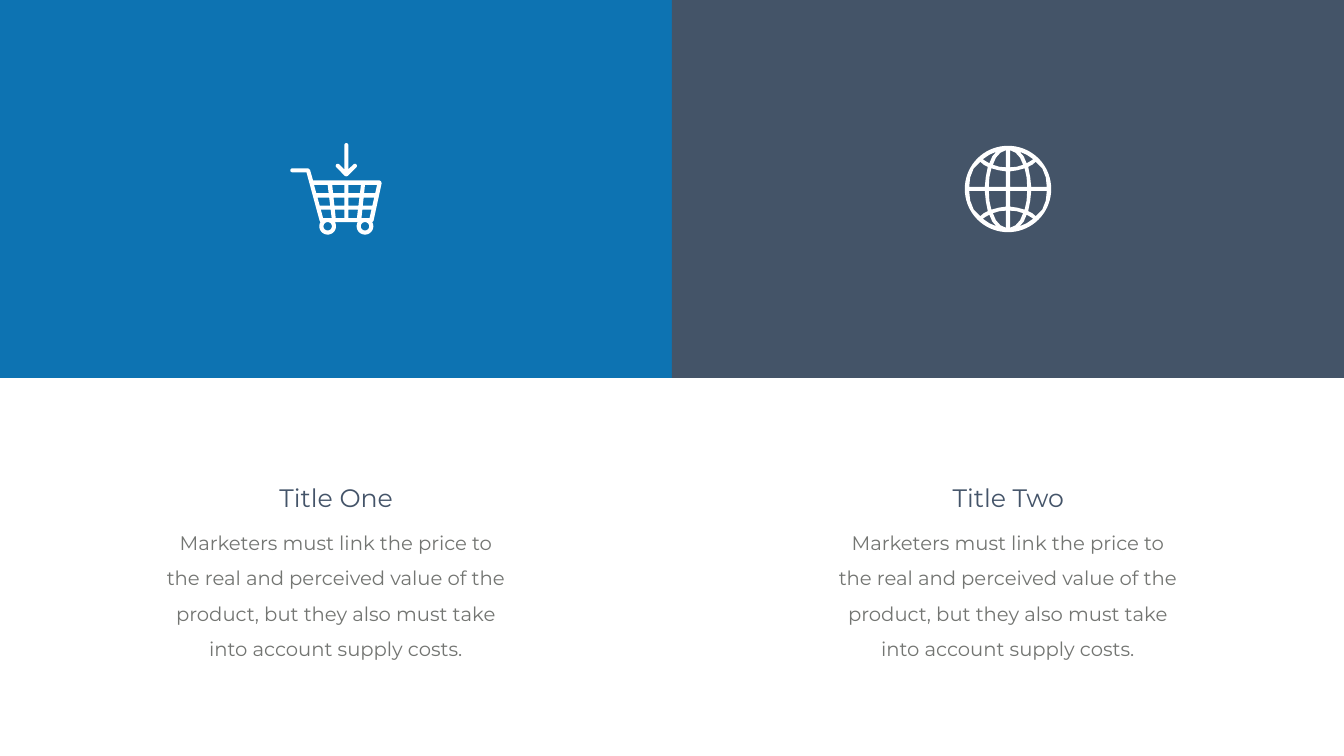
from dataclasses import dataclass
from itertools import product
from math import cos, radians, sin

from pptx import Presentation
from pptx.dml.color import RGBColor as Rgb
from pptx.enum.shapes import MSO_SHAPE as Kind
from pptx.enum.text import MSO_AUTO_SIZE as Fit, PP_ALIGN as Align
from pptx.util import Inches, Pt

Point = tuple[float, float]
Loop = list[Point]

HUES = {
    "blue": "0D73B2",
    "slate": "445468",
    "head": "445469",
    "body": "737572",
    "white": "FFFFFF",
}
WIDE, HIGH, HALF = 26.66, 15, 13.33
BODY = (
    "Marketers must link the price to the real and perceived value of the "
    "product, but they also must take into account supply costs."
)


@dataclass
class Card:
    left: float
    hue: str
    title: str


@dataclass
class Style:
    left: float
    top: float
    width: float
    height: float
    size: int
    hue: str
    space: float


@dataclass
class Column:
    top: Point
    base: Point


CARDS = [Card(0, "blue", "Title One"), Card(HALF, "slate", "Title Two")]
HEAD = Style(3.71, 9.53, 5.92, 0.71, 36, "head", 1.0)
TEXT = Style(3.17, 10.25, 6.98, 2.85, 28, "body", 1.5)

ROWS = [(3.67, 3.83), (3.92, 4.08), (4.16, 4.33)]
COLUMNS = [
    Column((6.23, 6.5), (6.41, 6.58)),
    Column((6.59, 6.83), (6.66, 6.83)),
    Column((6.91, 7.16), (6.91, 7.08)),
    Column((7.24, 7.48), (7.17, 7.33)),
]
WHEELS = [(6.5, 4.49), (7.24, 4.49)]
SECTORS = [
    [(0.04, 0.04), (0.38, 0.04), (0.37, 0.23), (0.33, 0.41),
     (0.18, 0.37), (0.04, 0.35)],
    [(0.04, 0.77), (0.04, 0.43), (0.17, 0.44), (0.3, 0.48),
     (0.24, 0.62), (0.15, 0.72)],
    [(0.77, 0.04), (0.46, 0.04), (0.44, 0.24), (0.4, 0.44),
     (0.48, 0.48), (0.55, 0.54), (0.68, 0.41), (0.75, 0.23)],
    [(0.23, 0.74), (0.31, 0.65), (0.37, 0.51), (0.44, 0.55),
     (0.5, 0.59), (0.37, 0.68)],
]


def paint(item, hue: str) -> None:
    item.shadow.inherit = False
    item.fill.solid()
    item.fill.fore_color.rgb = Rgb.from_string(HUES[hue])
    item.line.fill.background()


def arc(mid: Point, size: float, start: int, end: int) -> Loop:
    count = max(8, abs(end - start) // 5)
    turns = [radians(start + (end - start) * i / count)
             for i in range(count + 1)]
    return [(mid[0] + size * cos(a), mid[1] + size * sin(a)) for a in turns]


def icon(shapes, loops: list[Loop]) -> None:
    spots = [[(Inches(x), Inches(y)) for x, y in loop] for loop in loops]
    build = shapes.build_freeform(*spots[0][0])
    for index, loop in enumerate(spots):
        if index:
            build.move_to(*loop[0])
        build.add_line_segments(loop[1:], close=True)
    paint(build.convert_to_shape(), "white")


def cell(column: Column, row: Point) -> Loop:
    first, last = ROWS[0][0], ROWS[-1][1]

    def edge(side: int, y: float) -> Point:
        part = (y - first) / (last - first)
        start, end = column.top[side], column.base[side]
        return start + part * (end - start), y

    high, low = row
    return [edge(0, high), edge(1, high), edge(1, low), edge(0, low)]


def cart(shapes) -> None:
    frame = [(6.08, 3.42), (6.34, 4.38)]
    for wheel in WHEELS:
        frame += arc(wheel, 0.165, 210, -30)
    frame += [(7.41, 4.38), (7.57, 3.64), (7.56, 3.6), (7.53, 3.58),
              (6.21, 3.58), (6.15, 3.37), (6.11, 3.34)]
    frame += arc((5.8, 3.38), 0.04, 270, 90)
    arrow = [*arc((6.87, 2.88), 0.04, 180, 360), (6.91, 3.36),
             *arc((7.04, 3.29), 0.04, 225, 405), (6.9, 3.49),
             (6.87, 3.5), (6.84, 3.49),
             *arc((6.7, 3.29), 0.04, 135, 315), (6.83, 3.36)]
    cells = [cell(column, row) for column, row in product(COLUMNS, ROWS)]
    hubs = [arc(wheel, 0.083, 0, 360) for wheel in WHEELS]
    icon(shapes, [frame, *cells, *hubs, arrow])


def globe(shapes) -> None:
    x, y = 19.995, 3.75
    signs = product((-1, 1), repeat=2)
    holes = [[(x + across * u, y + down * v) for u, v in sector]
             for (across, down), sector in product(signs, SECTORS)]
    icon(shapes, [arc((x, y), 0.857, 0, 360), *holes])


def write(shapes, left: float, text: str, style: Style) -> None:
    box = (left + style.left, style.top, style.width, style.height)
    frame = shapes.add_textbox(*map(Inches, box)).text_frame
    frame.word_wrap = True
    frame.auto_size = Fit.SHAPE_TO_FIT_TEXT
    para = frame.paragraphs[0]
    for name, value in {"text": text, "alignment": Align.CENTER,
                        "line_spacing": style.space}.items():
        setattr(para, name, value)
    font = para.runs[0].font
    for name, value in {"name": "Montserrat", "size": Pt(style.size)}.items():
        setattr(font, name, value)
    font.color.rgb = Rgb.from_string(HUES[style.hue])


def panel(shapes, card: Card) -> None:
    box = (card.left, 0, HALF, HIGH / 2)
    paint(shapes.add_shape(Kind.RECTANGLE, *map(Inches, box)), card.hue)


def main() -> None:
    deck = Presentation()
    deck.slide_width, deck.slide_height = Inches(WIDE), Inches(HIGH)
    slide = deck.slides.add_slide(deck.slide_layouts[6])
    shapes = slide.shapes
    for card in CARDS:
        panel(shapes, card)
    globe(shapes)
    cart(shapes)
    for card in CARDS:
        group = shapes.add_group_shape().shapes
        write(group, card.left, card.title, HEAD)
        write(group, card.left, BODY, TEXT)
    deck.save("out.pptx")


if __name__ == "__main__":
    main()
